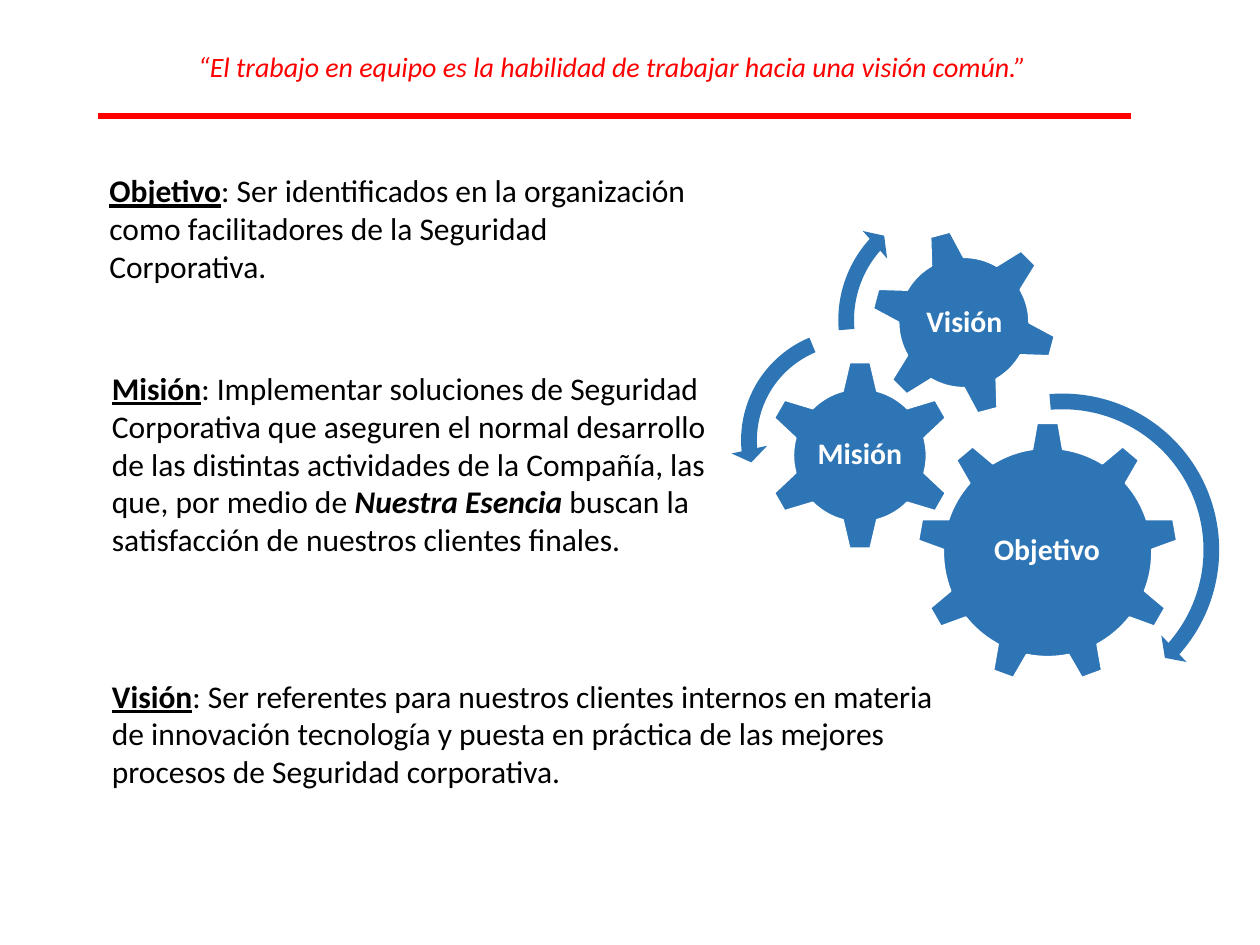
from lxml import etree
from pptx import Presentation
from pptx.dml.color import RGBColor
from pptx.enum.shapes import MSO_CONNECTOR, MSO_SHAPE
from pptx.enum.text import MSO_ANCHOR, MSO_AUTO_SIZE, PP_ALIGN
from pptx.oxml.ns import qn
from pptx.util import Inches, Pt

GEAR_6, GEAR_9 = MSO_SHAPE.GEAR_6, MSO_SHAPE.GEAR_9
CLOCKWISE, COUNTERCLOCKWISE = MSO_SHAPE.CIRCULAR_ARROW, MSO_SHAPE.LEFT_CIRCULAR_ARROW
CENTER, MIDDLE = PP_ALIGN.CENTER, MSO_ANCHOR.MIDDLE
GROW = MSO_AUTO_SIZE.SHAPE_TO_FIT_TEXT

WIDTH, HEIGHT = 10, 7.5
FONT = "Calibri"
COLORS = {"red": "FF0000", "blue": "2E75B6", "white": "FFFFFF", "black": "000000"}

QUOTE = "“El trabajo en equipo es la habilidad de trabajar hacia una visión común.”"
QUOTE_BOX = (1.04, 0.21, 7.64, 0.63)
RULE = (0.78, 8.98, 0.92)  # left, right, height on the slide

TERM = {"bold": True, "underline": True}
PLAIN = {}
STRESSED = {"bold": True, "italic": True}
STATEMENTS = [
    ((0.77, 1.31, 4.96, 1.31), [
        ("Objetivo", TERM),
        (": Ser identificados en la organización como facilitadores de la "
         "Seguridad Corporativa.", PLAIN)]),
    ((0.79, 2.88, 4.94, 1.92), [
        ("Misión", TERM),
        (": Implementar soluciones de Seguridad Corporativa que aseguren el normal "
         "desarrollo de las distintas actividades de la Compañía, las que, por medio de ", PLAIN),
        ("Nuestra Esencia", STRESSED),
        (" buscan la satisfacción de nuestros clientes finales.", PLAIN)]),
    ((0.79, 5.32, 6.89, 1.31), [
        ("Visión", TERM),
        (": Ser referentes para nuestros clientes internos en materia de innovación "
         "tecnología y puesta en práctica de las mejores procesos de Seguridad "
         "corporativa.", PLAIN)]),
]

# label, preset, left, top, diameter, rotation, label box
GEARS = [
    ("Objetivo", GEAR_9, 7.28, 3.35, 2.07, 0, (7.69, 3.84, 1.24, 1.07)),
    ("Misión", GEAR_6, 6.07, 2.86, 1.51, 0, (6.45, 3.24, 0.75, 0.74)),
    ("Visión", GEAR_6, 6.91, 1.82, 1.48, 345, (7.24, 2.15, 0.83, 0.83)),
]
# preset, left, top, diameter, adjustments
ARROWS = [
    (CLOCKWISE, 7.11, 3.04, 2.65, (0.047, 2.99, 24.954, 159.069, 0.055)),
    (COUNTERCLOCKWISE, 5.8, 2.53, 1.93, (0.065, 4.3, 104.891, 148.378, 0.075)),
    (CLOCKWISE, 6.57, 1.5, 2.08, (0.06, 3.941, 133.138, 105.082, 0.07)),
]


def color(name):
    return RGBColor.from_string(COLORS[name])


def set_all(target, values):
    for name, value in values.items():
        setattr(target, name, value)


def add_text(shapes, box, runs, size, ink, frame_format=None, paragraph_format=None):
    shape = shapes.add_textbox(*map(Inches, box))
    frame = shape.text_frame
    set_all(frame, {"word_wrap": True, **(frame_format or {})})
    paragraph = frame.paragraphs[0]
    set_all(paragraph, paragraph_format or {})
    for text, style in runs:
        run = paragraph.add_run()
        run.text = text
        set_all(run.font, {"name": FONT, "size": Pt(size), **style})
        run.font.color.rgb = color(ink)


def add_round(shapes, preset, left, top, diameter):
    """Add a blue preset shape in a square frame."""
    shape = shapes.add_shape(preset, *map(Inches, (left, top, diameter, diameter)))
    shape.shadow.inherit = False
    shape.fill.solid()
    shape.fill.fore_color.rgb = color("blue")
    return shape


def add_header(shapes):
    add_text(shapes, QUOTE_BOX, [(QUOTE, {"italic": True})], 16, "red",
             {"vertical_anchor": MIDDLE}, {"alignment": CENTER})
    left, right, level = map(Inches, RULE)
    rule = shapes.add_connector(MSO_CONNECTOR.STRAIGHT, left, level, right, level)
    rule.line.color.rgb = color("red")
    rule.line.width = Pt(3)
    etree.SubElement(rule._element.spPr, qn("a:effectLst"))


def add_gears(shapes):
    margins = {f"margin_{side}": Inches(0.02) for side in ("left", "top", "right", "bottom")}
    for label, preset, left, top, diameter, rotation, label_box in GEARS:
        gear = add_round(shapes, preset, left, top, diameter)
        gear.rotation = rotation
        gear.line.color.rgb = color("white")
        gear.line.width = Pt(1)
        add_text(shapes, label_box, [(label, {"bold": True})], 17, "white",
                 {"vertical_anchor": MIDDLE, **margins},
                 {"alignment": CENTER, "line_spacing": 0.9, "space_after": Pt(6)})
    for preset, left, top, diameter, adjustments in ARROWS:
        arrow = add_round(shapes, preset, left, top, diameter)
        arrow.line.fill.background()
        for index, value in enumerate(adjustments):
            arrow.adjustments[index] = value


def main():
    presentation = Presentation()
    presentation.slide_width, presentation.slide_height = Inches(WIDTH), Inches(HEIGHT)
    slide = presentation.slides.add_slide(presentation.slide_layouts[6])
    add_header(slide.shapes)
    add_gears(slide.shapes.add_group_shape().shapes)
    for box, runs in STATEMENTS:
        add_text(slide.shapes, box, runs, 18, "black", {"auto_size": GROW})
    presentation.save("out.pptx")


if __name__ == "__main__":
    main()
